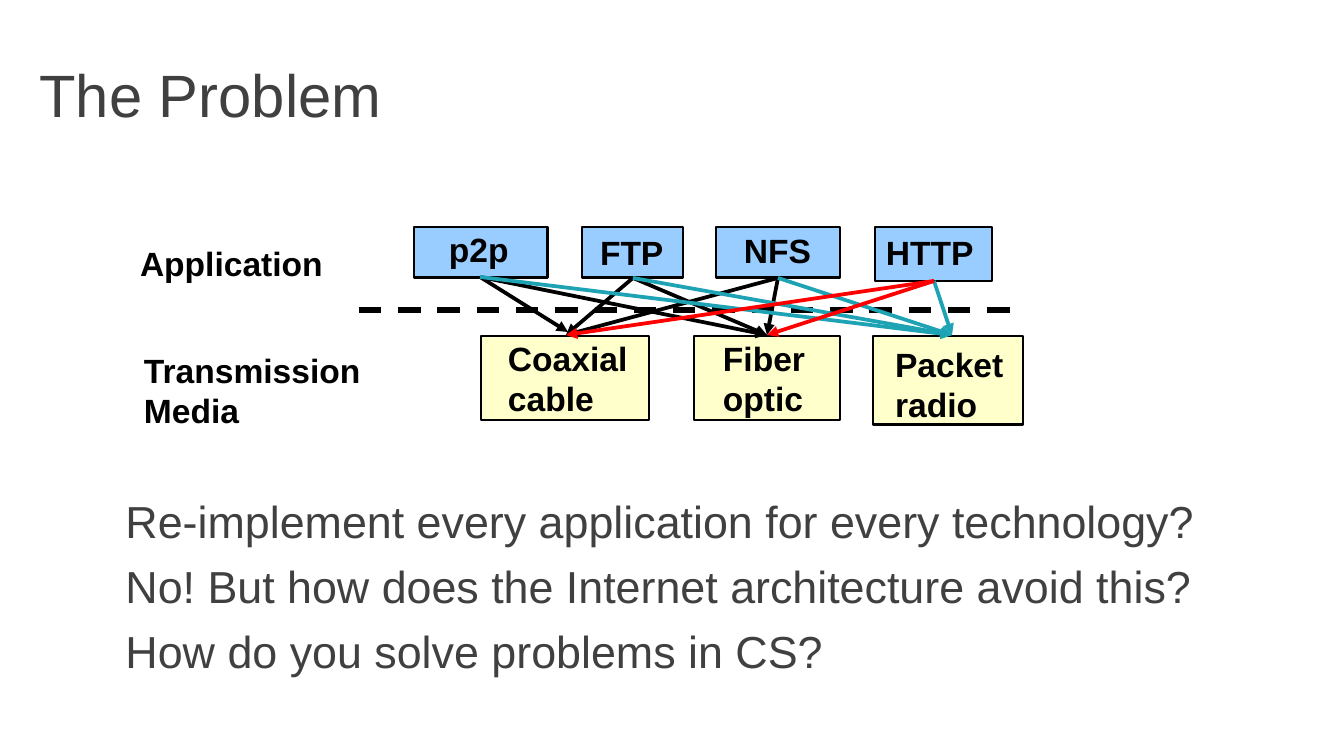
import pptx
import pptx.util
import pptx.dml.color
import pptx.enum.dml
import pptx.enum.shapes
import pptx.enum.text
import pptx.oxml.ns
import lxml.etree

PX = 914400 / 134.4
COLORS = {
    "black": "000000", "grey": "404040", "app": "99CCFF",
    "media": "FFFFCC", "teal": "1EA3B5", "red": "FF0000",
}


def emu(*pixels):
    return [round(value * PX) for value in pixels]


def style_text(frame, lines, size, color, bold=False):
    frame.text = "\n".join(lines)
    frame.auto_size = pptx.enum.text.MSO_AUTO_SIZE.NONE
    for paragraph in frame.paragraphs:
        paragraph.alignment = pptx.enum.text.PP_ALIGN.LEFT
        paragraph.font.name = "Arial"
        paragraph.font.size = pptx.util.Pt(size)
        paragraph.font.bold = bold
        paragraph.font.color.rgb = pptx.dml.color.RGBColor.from_string(COLORS[color])


deck = pptx.Presentation()
deck.slide_width, deck.slide_height = emu(1344, 756)
slide = deck.slides.add_slide(deck.slide_layouts[1])

title, questions = slide.placeholders
title.left, title.top, title.width, title.height = emu(26, 31, 1301, 126)
style_text(title.text_frame, ["The Problem"], 32, "grey")
title.text_frame.vertical_anchor = pptx.enum.text.MSO_ANCHOR.MIDDLE

questions.left, questions.top, questions.width, questions.height = emu(112, 487, 1165, 192)
style_text(questions.text_frame, [
    "Re-implement every application for every technology?",
    "No! But how does the Internet architecture avoid this?",
    "How do you solve problems in CS?",
], 24, "grey")
for question in questions.text_frame.paragraphs:
    question.space_before = pptx.util.Pt(6)
    properties = question._p.get_or_add_pPr()
    properties.set("marL", "0")
    properties.set("indent", "0")
    lxml.etree.SubElement(properties, pptx.oxml.ns.qn("a:buNone"))

boxes = [
    ("app", 414, 227, 134, 51),
    ("app", 582, 227, 101, 51),
    ("app", 716, 227, 124, 51),
    ("app", 875, 227, 117, 54),
    ("media", 481, 336, 168, 84),
    ("media", 694, 336, 146, 84),
    ("media", 873, 336, 150, 89),
]
for fill, *place in boxes:
    box = slide.shapes.add_shape(pptx.enum.shapes.MSO_SHAPE.RECTANGLE, *emu(*place))
    box.shadow.inherit = False
    box.fill.solid()
    box.fill.fore_color.rgb = pptx.dml.color.RGBColor.from_string(COLORS[fill])
    box.line.color.rgb = pptx.dml.color.RGBColor.from_string(COLORS["black"])
    box.line.width = pptx.util.Pt(1.5)

labels = [
    (["Application"], 128, 237, 208, 52),
    (["Transmission", "Media"], 132, 344, 243, 94),
    (["p2p"], 437, 223, 85, 52),
    (["FTP"], 588, 226, 88, 52),
    (["NFS"], 732, 224, 93, 52),
    (["HTTP"], 874, 226, 116, 54),
    (["Coaxial", "cable"], 496, 332, 145, 94),
    (["Fiber", "optic"], 711, 332, 107, 94),
    (["Packet", "radio"], 883, 338, 137, 95),
]
for lines, *place in labels:
    label = slide.shapes.add_textbox(*emu(*place)).text_frame
    style_text(label, lines, 18, "black", True)
    label.word_wrap = False
    label.margin_left, label.margin_top, label.margin_right, label.margin_bottom = emu(12, 6, 12, 6)

p2p, ftp, nfs, http = (480, 277), (633, 278), (778, 278), (934, 281)
coaxial, fiber, radio = (566, 335), (767, 335), (952, 335)
links = [
    ("black", (359, 310), (1019, 310)),
    ("black", p2p, (568, 332)),
    ("black", p2p, fiber),
    ("black", ftp, coaxial),
    ("black", ftp, fiber),
    ("black", nfs, coaxial),
    ("black", nfs, fiber),
    ("teal", p2p, radio),
    ("teal", ftp, radio),
    ("teal", nfs, radio),
    ("teal", http, radio),
    ("red", http, coaxial),
    ("red", http, fiber),
]
for index, (color, start, end) in enumerate(links):
    link = slide.shapes.add_connector(
        pptx.enum.shapes.MSO_CONNECTOR.STRAIGHT, *emu(*start, *end))
    link.line.color.rgb = pptx.dml.color.RGBColor.from_string(COLORS[color])
    if index == 0:
        link.line.width = pptx.util.Pt(3)
        link.line.dash_style = pptx.enum.dml.MSO_LINE.DASH
    else:
        link.line.width = pptx.util.Pt(2)
        lxml.etree.SubElement(
            link.line._get_or_add_ln(), pptx.oxml.ns.qn("a:tailEnd"), type="triangle")
    lxml.etree.SubElement(link._element.spPr, pptx.oxml.ns.qn("a:effectLst"))

deck.save("out.pptx")
